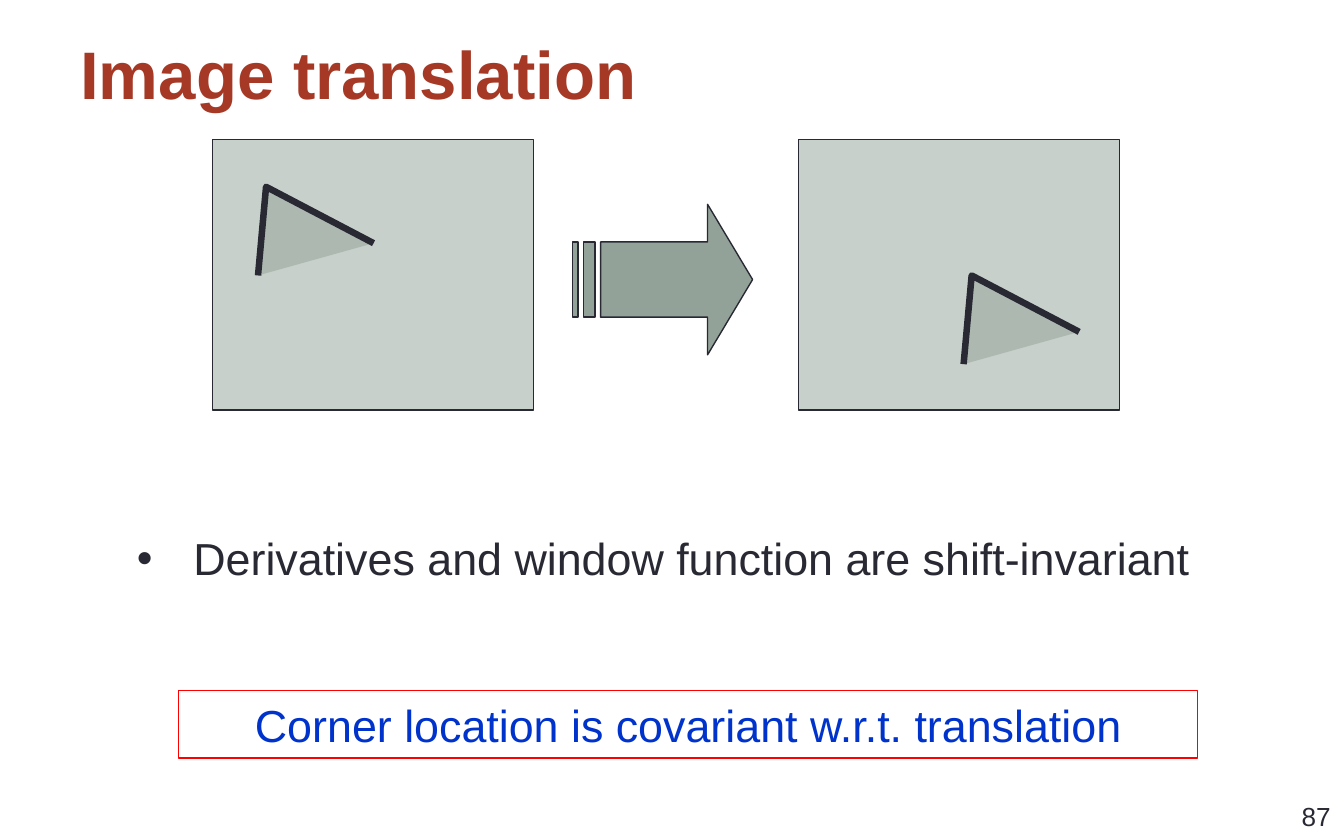
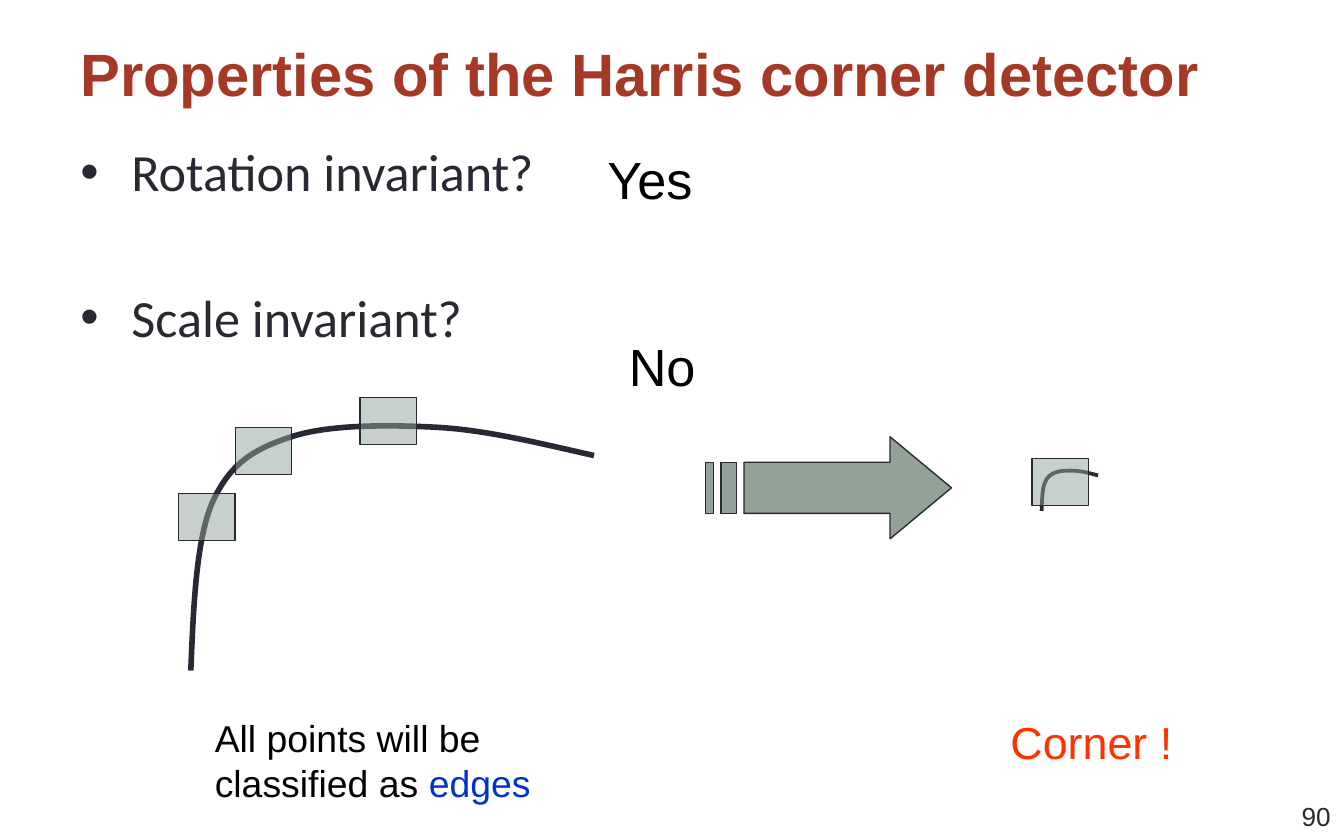
from dataclasses import dataclass
from typing import NamedTuple

from lxml import etree
from pptx import Presentation, util as u
from pptx.dml.color import RGBColor
from pptx.enum import shapes, text as t
from pptx.oxml.ns import qn


@dataclass(frozen=True)
class Theme:
    ink: str = "292934"
    sage: str = "93A299"
    rust: str = "A53926"
    blue: str = "0033CC"
    red: str = "FF0000"
    flame: str = "FF3300"
    black: str = "000000"
    font: str = "Arial"
    soft: str = "Calibri"
    title: int = 36
    long: int = 32
    large: int = 28
    body: int = 24
    note: int = 20
    page: int = 14
    thin: float = 0.75


class Box(NamedTuple):
    left: float
    top: float
    width: float
    height: float

    def inches(self) -> list:
        return [u.Inches(v) for v in self]


class Point(NamedTuple):
    x: float
    y: float


T = Theme()
TITLE = Box(0.5, 0.25, 9, 0.58)
PAGE = Box(7.17, 5.91, 2.83, 0.23)
FRAME = (2.39, 2.01)
WINDOW = (0.42, 0.35)
WEDGE = [Point(0, 0.66), Point(0.06, 0), Point(0.86, 0.42)]
# Outlines of the striped arrow as fractions of its box
ARROW = [
    [Point(0.75, 0), Point(0.75, 0.25), Point(5 / 32, 0.25), Point(5 / 32, 0.75),
     Point(0.75, 0.75), Point(0.75, 1), Point(1, 0.5)],
    *[[Point(a, 0.25), Point(a, 0.75), Point(b, 0.75), Point(b, 0.25)]
      for a, b in ((1 / 16, 1 / 8), (0, 1 / 32))],
]
# Start point, then three Bezier points for each segment
CURVE = [Point(*p) for p in (
    (0, 1.83), (0.02, 1.35), (0.04, 0.86), (0.16, 0.58),
    (0.29, 0.29), (0.47, 0.18), (0.75, 0.09),
    (1.02, 0), (1.46, 0), (1.83, 0.02),
    (2.2, 0.04), (2.6, 0.14), (3, 0.23))]


def rgb(color: str) -> RGBColor:
    return RGBColor.from_string(color)


def paint(shape, fill: str = "", alpha: int = 100, line: str = T.ink,
          width: float = T.thin) -> None:
    """Set fill, transparency and outline, without shadow."""
    shape.shadow.inherit = False
    if fill:
        shape.fill.solid()
        shape.fill.fore_color.rgb = rgb(fill)
        if alpha < 100:
            node = shape.element.spPr.find(qn("a:solidFill"))[0]
            etree.SubElement(node, qn("a:alpha"), val=str(alpha * 1000))
    else:
        shape.fill.background()
    shape.line.color.rgb = rgb(line)
    shape.line.width = u.Pt(width)
    etree.SubElement(shape.element.spPr.find(qn("a:ln")), qn("a:round"))


def write(shape, text: str, size: int = T.body, color: str = T.black,
          font: str = T.font, bold: bool = False, align=t.PP_ALIGN.LEFT,
          anchor=t.MSO_ANCHOR.TOP, hang: float = 0, gap: float = 0,
          tail: str = "", accent: str = T.blue) -> None:
    """Fill a shape with text; hang makes bullets, tail is an accented end."""
    frame = shape.text_frame
    frame.word_wrap = True
    frame.vertical_anchor = anchor
    for i, line in enumerate(text.split("\n")):
        para = frame.add_paragraph() if i else frame.paragraphs[0]
        para.alignment = align
        if i:
            para.space_before = u.Pt(gap)
        if hang:
            props = para._p.get_or_add_pPr()
            props.set("marL", str(u.Inches(hang)))
            props.set("indent", str(-u.Inches(hang)))
            etree.SubElement(props, qn("a:buFont"), typeface=T.font)
            etree.SubElement(props, qn("a:buChar"), char="•")
        para.font.size = u.Pt(size)
        para.font.name = font
        para.font.bold = bold
        for part, shade in ((line, color), (tail, accent)):
            if part:
                run = para.add_run()
                run.text = part
                run.font.size = u.Pt(size)
                run.font.name = font
                run.font.bold = bold
                run.font.color.rgb = rgb(shade)


def label(slide, box: Box, text: str, **style) -> None:
    write(slide.shapes.add_textbox(*box.inches()), text, **style)


def rect(slide, box: Box, **style):
    shape = slide.shapes.add_shape(shapes.MSO_SHAPE.RECTANGLE, *box.inches())
    paint(shape, **style)
    return shape


def trace(slide, box: Box, paths: list[list[Point]], close: bool = False):
    """Build outlines whose points are scaled by the box size."""
    dots = [[(u.Inches(box.left + p.x * box.width),
              u.Inches(box.top + p.y * box.height)) for p in line]
            for line in paths]
    pen = slide.shapes.build_freeform(*dots[0][0], scale=1.0)
    for i, line in enumerate(dots):
        if i:
            pen.move_to(*line[0])
        pen.add_line_segments(line[1:], close=close)
    return pen.convert_to_shape()


def arrow(slide, box: Box) -> None:
    paint(trace(slide, box, ARROW, close=True), fill=T.sage)


def wedge(slide, left: float, top: float) -> None:
    shape = trace(slide, Box(left, top, 1, 1), [WEDGE])
    paint(shape, fill=T.sage, alpha=50, width=3.5)


def curve(slide, box: Box, width: float) -> None:
    """Draw the edge curve, merging each three segments into one Bezier."""
    shape = trace(slide, box, [CURVE])
    lines = list(shape.element.iter(qn("a:lnTo")))
    for i in range(0, len(lines), 3):
        bend = etree.Element(qn("a:cubicBezTo"))
        lines[i].addprevious(bend)
        for line in lines[i:i + 3]:
            bend.append(line[0])
            line.getparent().remove(line)
    paint(shape, width=width)


def pane(slide, left: float, top: float, size: tuple[float, float]) -> None:
    rect(slide, Box(left, top, *size), fill=T.sage, alpha=50)


def start(deck, title: str, page: int, size: int = T.title):
    slide = deck.slides.add_slide(deck.slide_layouts[6])
    label(slide, PAGE, str(page), size=T.page, color=T.ink,
          align=t.PP_ALIGN.RIGHT)
    label(slide, TITLE, title, size=size, color=T.rust, bold=True,
          anchor=t.MSO_ANCHOR.MIDDLE)
    return slide


def shift(deck) -> None:
    slide = start(deck, "Image translation", 87)
    label(slide, Box(0.92, 3.9, 8.42, 0.5),
          "Derivatives and window function are shift-invariant",
          color=T.ink, hang=0.42)
    for left, x, y in ((1.58, 1.92, 1.39), (5.94, 7.17, 2.05)):
        pane(slide, left, 1.04, FRAME)
        wedge(slide, x, y)
    arrow(slide, Box(4.26, 1.52, 1.34, 1.12))
    claim = rect(slide, Box(1.33, 5.14, 7.58, 0.5), line=T.red)
    write(claim, "Corner location is covariant w.r.t. translation",
          color=T.blue, align=t.PP_ALIGN.CENTER, anchor=t.MSO_ANCHOR.MIDDLE)


def traits(deck) -> None:
    slide = start(deck, "Properties of the Harris corner detector", 90, T.long)
    label(slide, Box(0.5, 0.99, 9, 2.01),
          "Rotation invariant?\nScale invariant?", size=T.large,
          color=T.ink, font=T.soft, hang=0.38, gap=44.5)
    curve(slide, Box(1.42, 3.16, 1, 1), 3)
    for left, top in ((1.33, 3.67), (1.75, 3.18), (2.68, 2.96)):
        pane(slide, left, top, WINDOW)
    label(slide, Box(1.5, 5.27, 2.83, 0.77),
          "All points will be classified as ", size=T.note, tail="edges")
    curve(slide, Box(7.75, 3.5, 0.14, 0.165), 2)
    pane(slide, 7.68, 3.41, WINDOW)
    arrow(slide, Box(5.25, 3.25, 1.83, 0.76))
    label(slide, Box(7.42, 5.27, 1.5, 0.5), "Corner !", color=T.flame)
    label(slide, Box(4.42, 1.05, 2.08, 0.57), "Yes", size=T.large)
    label(slide, Box(4.58, 2.44, 2.08, 0.57), "No", size=T.large)


def main() -> None:
    deck = Presentation()
    deck.slide_width, deck.slide_height = u.Inches(10), u.Inches(6.25)
    shift(deck)
    traits(deck)
    deck.save("out.pptx")


if __name__ == "__main__":
    main()
